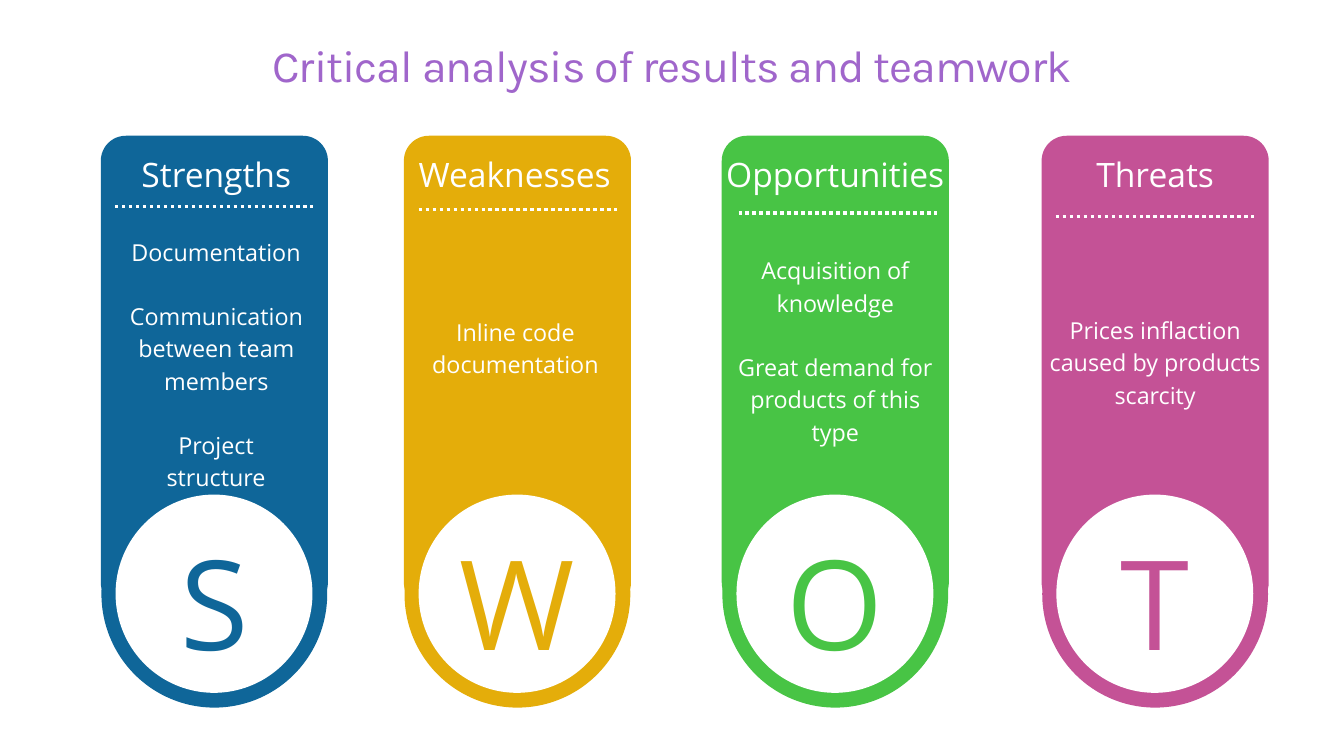
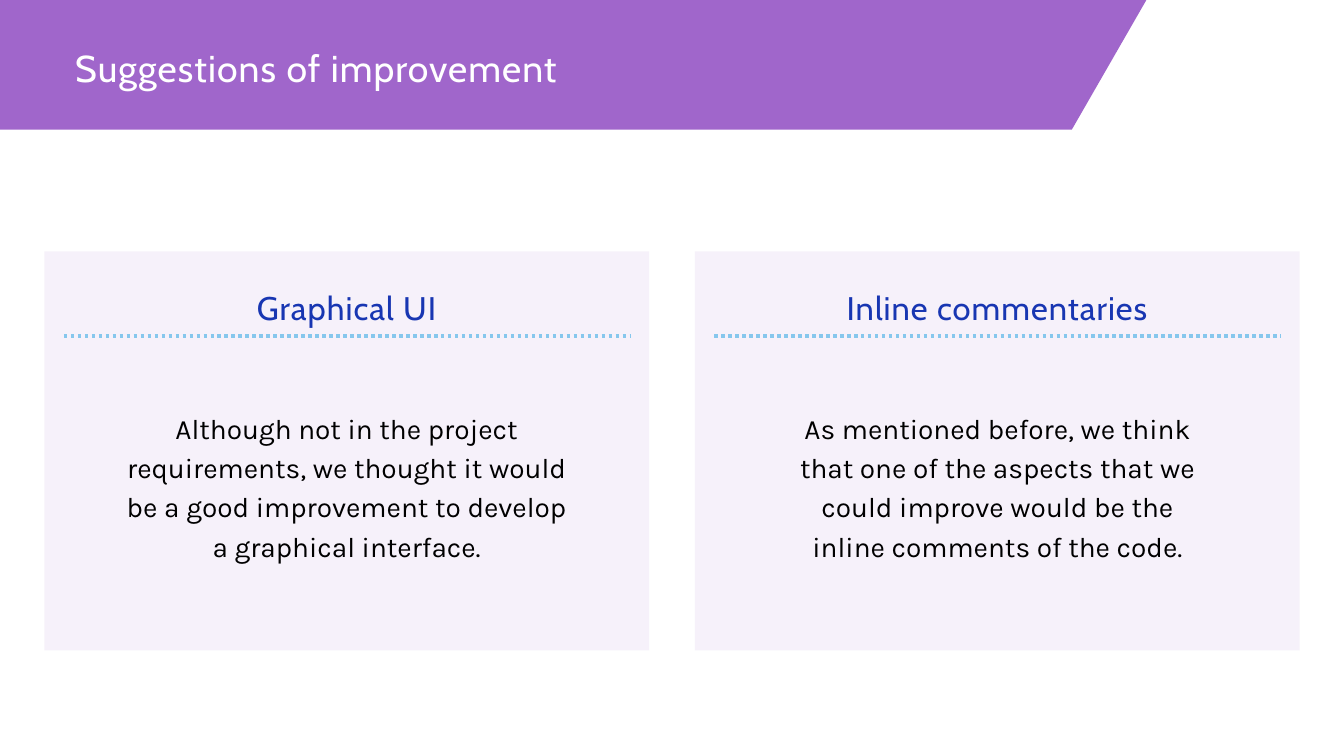
"""Build a SWOT analysis slide and a slide of suggested improvements."""
from lxml.etree import SubElement
from pptx import Presentation
from pptx.dml.color import RGBColor
from pptx.enum.dml import MSO_LINE
from pptx.enum.shapes import MSO_CONNECTOR, MSO_SHAPE
from pptx.enum.text import MSO_AUTO_SIZE, PP_ALIGN
from pptx.oxml.ns import qn
from pptx.util import Inches, Pt

PURPLE = RGBColor(0xA0, 0x66, 0xCB)
BLUE = RGBColor(0x0F, 0x66, 0x99)
YELLOW = RGBColor(0xE4, 0xAD, 0x0A)
GREEN = RGBColor(0x48, 0xC4, 0x45)
PINK = RGBColor(0xC4, 0x52, 0x96)
ROYAL = RGBColor(0x18, 0x36, 0xB2)
SKY = RGBColor(0x86, 0xC7, 0xED)
WHITE = RGBColor(0xFF, 0xFF, 0xFF)
BLACK = RGBColor(0, 0, 0)

SWOT_TITLE = "Critical analysis of results and teamwork"
SWOT = [
    dict(heading="Strengths", color=BLUE, left=1.5, heading_left=1.57,
         rule_left=1.71, letter_width=1.07, points=[
             ("Documentation", 1.91, 3.47, 2.61, 0.47),
             ("Communication between team members", 1.64, 4.42, 3.16, 1.43),
             ("Project structure", 1.91, 6.34, 2.61, 0.47)]),
    dict(heading="Weaknesses", color=YELLOW, left=6.01, heading_left=6.01,
         rule_left=6.23, letter_width=1.93, points=[
             ("Inline code documentation", 6.09, 4.66, 3.16, 0.95)]),
    dict(heading="Opportunities", color=GREEN, left=10.74, heading_left=10.78,
         rule_left=10.99, letter_width=1.48, points=[
             ("Acquisition of knowledge", 10.85, 3.74, 3.16, 0.95),
             ("Great demand for products of this type", 10.85, 5.18, 3.16, 1.43)]),
    dict(heading="Threats", color=PINK, left=15.5, heading_left=15.54,
         rule_left=15.71, letter_width=1.09, points=[
             ("Prices inflaction caused by products scarcity",
              15.61, 4.63, 3.16, 1.43)]),
]

IMPROVEMENT_TITLE = "Suggestions of improvement"
IMPROVEMENTS = [
    ("Graphical UI",
     "Although not in the project requirements, we thought it would be a good "
     "improvement to develop a graphical interface.", 1.85, 6.62),
    ("Inline commentaries",
     "As mentioned before, we think that one of the aspects that we could "
     "improve would be the inline comments of the code.", 11.67, 6.35),
]
BANNER = [(0, 0), (17.06, 0), (15.95, 1.93), (0, 1.93)]
CARD_LEFT, CARD_STEP, CARD_WIDTH = 0.66, 9.68, 9


def add_text(page, text, left, top, width, height, *, size, leading, font="Open Sans",
             color=WHITE, align=PP_ALIGN.CENTER, spacing=0):
    box = page.shapes.add_textbox(Inches(left), Inches(top), Inches(width), Inches(height))
    frame = box.text_frame
    frame.word_wrap = True
    frame.auto_size = MSO_AUTO_SIZE.SHAPE_TO_FIT_TEXT
    frame.margin_left = frame.margin_right = frame.margin_top = frame.margin_bottom = 0
    para = frame.paragraphs[0]
    para.alignment = align
    para.line_spacing = Pt(leading)
    span = para.add_run()
    span.text = text
    span.font.size = Pt(size)
    span.font.name = font
    span.font.color.rgb = color
    if spacing:
        span.font._element.set("spc", str(round(spacing * 100)))


def paint(shape, color, opacity=100):
    shape.shadow.inherit = False
    shape.fill.solid()
    shape.fill.fore_color.rgb = color
    shape.line.fill.background()
    if opacity < 100:
        tint = shape._element.spPr.find(".//" + qn("a:srgbClr"))
        SubElement(tint, qn("a:alpha")).set("val", str(opacity * 1000))


def add_block(page, kind, left, top, width, height, color, opacity=100):
    block = page.shapes.add_shape(kind, Inches(left), Inches(top), Inches(width), Inches(height))
    paint(block, color, opacity)
    return block


def add_dotted_rule(page, left, top, width, color):
    rule = page.shapes.add_connector(MSO_CONNECTOR.STRAIGHT, Inches(left), Inches(top),
                                     Inches(left + width), Inches(top))
    rule.line.color.rgb = color
    rule.line.width = Pt(3.75)
    rule.line.dash_style = MSO_LINE.ROUND_DOT
    SubElement(rule._element.spPr, qn("a:effectLst"))


def add_swot_column(page, index, column):
    left, color = column["left"], column["color"]
    center = left + 1.69
    add_block(page, MSO_SHAPE.OVAL, center - 1.68, 7.15, 3.36, 3.38, color)
    panel = add_block(page, MSO_SHAPE.ROUNDED_RECTANGLE, left, 2.02, 3.38, 7.02, color)
    panel.adjustments[0] = 0.11
    add_block(page, MSO_SHAPE.OVAL, center - 1.47, 7.36, 2.93, 2.95, WHITE)
    width = column["letter_width"]
    add_text(page, column["heading"][0], center - width / 2, 7.46, width, 2.49,
             size=133.4, leading=186.8, color=color)
    add_text(page, column["heading"], column["heading_left"], 2.19, 3.3, 0.67,
             size=36, leading=50.4)
    add_dotted_rule(page, column["rule_left"], 3.07 + 0.05 * index, 2.95, WHITE)
    for point in column["points"]:
        add_text(page, *point, size=25, leading=35)


def build_swot(page):
    add_text(page, SWOT_TITLE, 0, 0.43, 20, 0.91, size=48, leading=67.2,
             font="Karla", color=PURPLE, spacing=-1)
    for index, column in enumerate(SWOT):
        add_swot_column(page, index, column)


def build_improvements(page):
    corners = [(Inches(x), Inches(y)) for x, y in BANNER]
    outline = page.shapes.build_freeform(*corners[0])
    outline.add_line_segments(corners[1:], close=True)
    paint(outline.convert_to_shape(), PURPLE)
    add_text(page, IMPROVEMENT_TITLE, 1.12, 0.67, 7.8, 0.66, size=40, leading=48,
             font="Cabin", align=PP_ALIGN.LEFT, spacing=1.2)
    for index, (heading, body, body_left, body_width) in enumerate(IMPROVEMENTS):
        left = CARD_LEFT + index * CARD_STEP
        add_block(page, MSO_SHAPE.RECTANGLE, left, 3.74, CARD_WIDTH, 5.94, PURPLE, opacity=9)
        add_text(page, heading, left, 4.29, CARD_WIDTH, 0.59, size=35, leading=42,
                 font="Cabin", color=ROYAL, spacing=1.1)
        add_dotted_rule(page, left + 0.29, 5, 8.42, SKY)
        add_text(page, body, body_left, 6.04, body_width, 2.32, size=30, leading=42,
                 font="Karla", color=BLACK)


def main():
    deck = Presentation()
    deck.slide_width, deck.slide_height = Inches(20), Inches(11.25)
    for build in (build_swot, build_improvements):
        build(deck.slides.add_slide(deck.slide_layouts[6]))
    deck.save("out.pptx")


if __name__ == "__main__":
    main()
